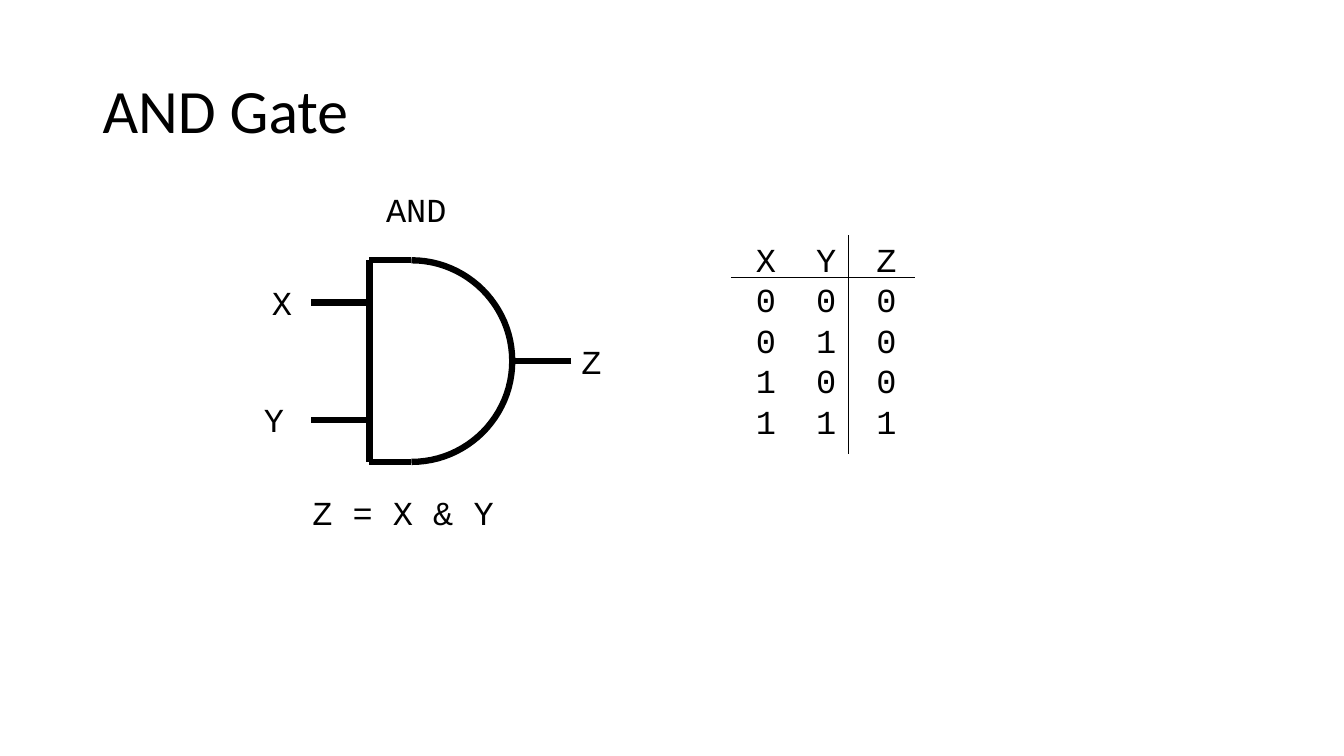
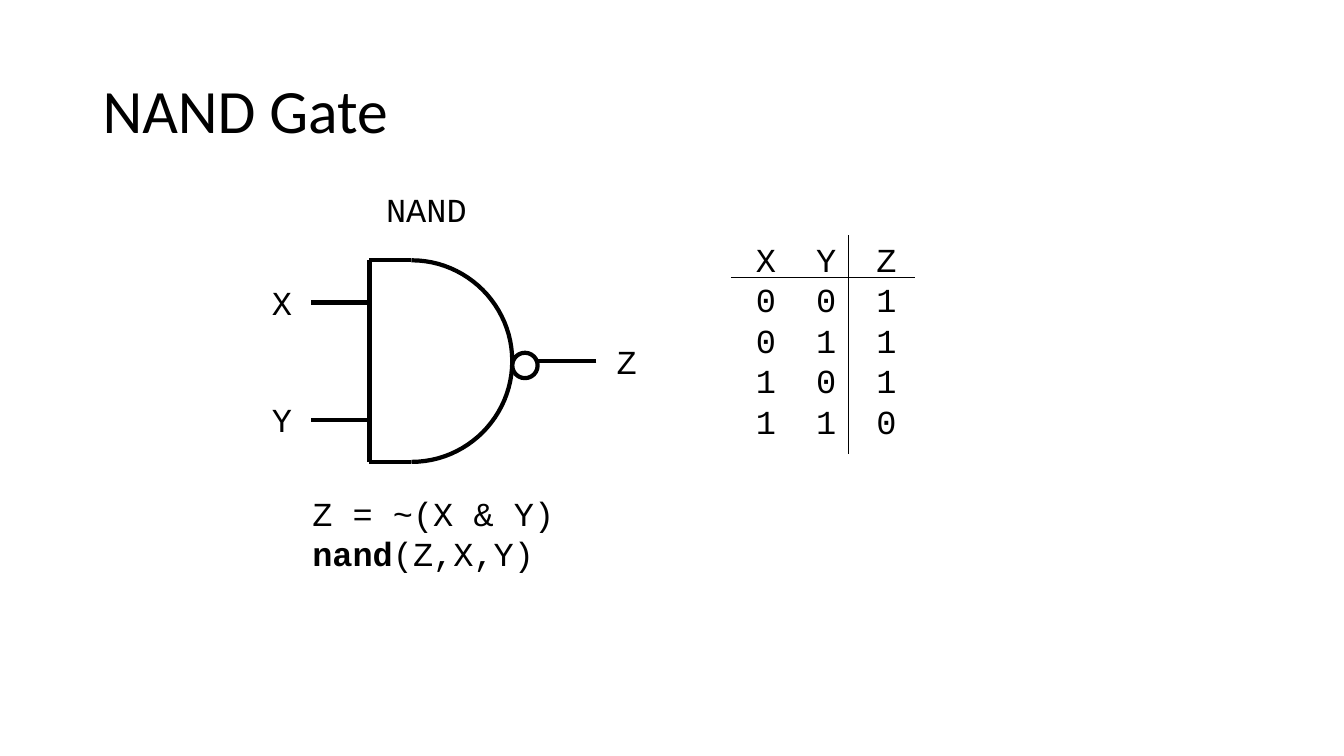
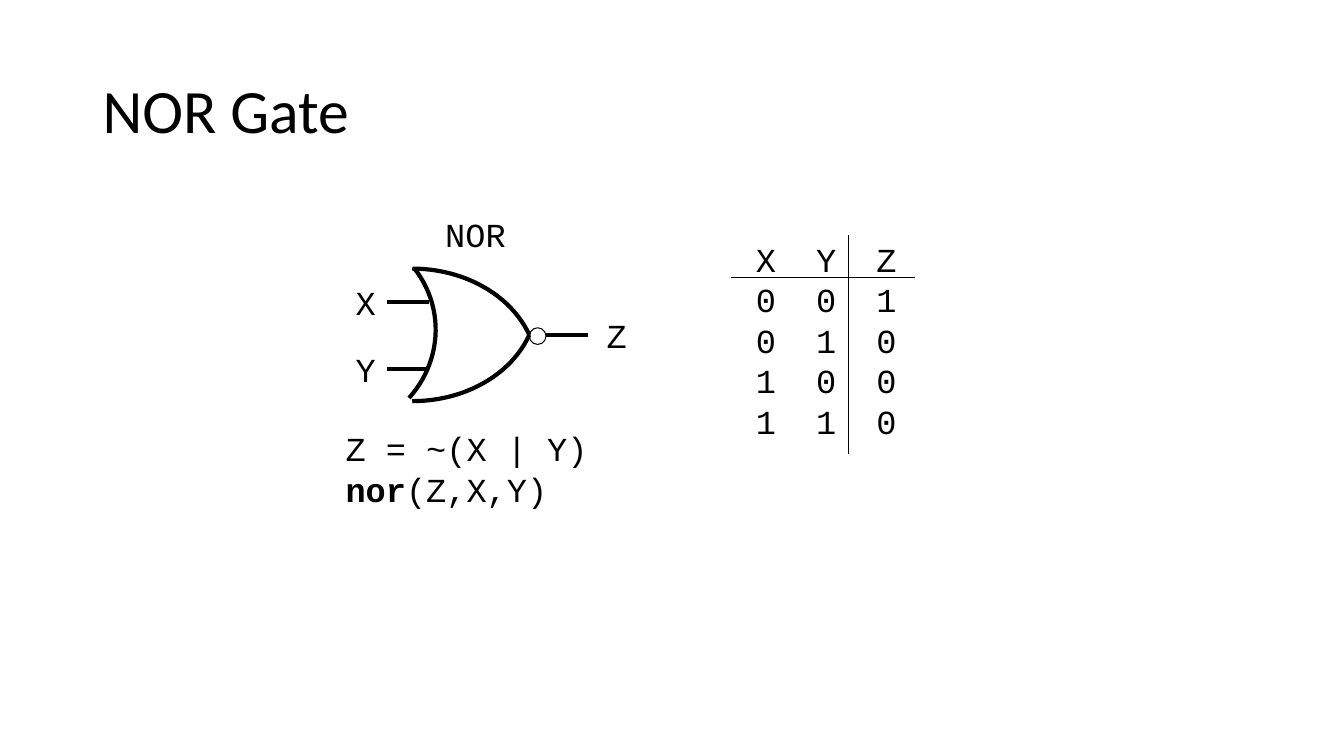
"""Build three slides on logic gates, each with a symbol, an equation and a truth table."""
from dataclasses import dataclass
from itertools import product
from typing import Any, NamedTuple

from lxml.etree import SubElement
from pptx import Presentation
from pptx.dml.color import RGBColor
from pptx.enum.shapes import MSO_CONNECTOR as Connector, MSO_SHAPE as Preset
from pptx.enum.text import MSO_ANCHOR as Anchor, MSO_AUTO_SIZE as AutoSize, PP_ALIGN as Align
from pptx.oxml.ns import qn
from pptx.util import Cm, Pt

COLORS = {"ink": "000000", "paper": "FFFFFF"}
INK = RGBColor.from_string(COLORS["ink"])
TITLE_FONT = {"name": "Calibri", "size": Pt(44), "bold": False}
CODE_FONT = {"name": "Courier New", "size": Pt(24), "bold": False}
TITLE_BOX = {"left": Cm(2.33), "top": Cm(1.01), "width": Cm(29.21), "height": Cm(3.68)}
TITLE_FRAME = {"vertical_anchor": Anchor.MIDDLE, "word_wrap": True, "auto_size": AutoSize.NONE}
TITLE_PARAGRAPH = {"alignment": Align.LEFT, "line_spacing": 0.9}
LABEL_FRAME = {"word_wrap": False, "auto_size": AutoSize.SHAPE_TO_FIT_TEXT}
CELL_FORMAT = {"margin_left": 0, "margin_right": 0, "margin_top": 0, "margin_bottom": 0,
               "vertical_anchor": Anchor.TOP}
PLAIN_TABLE_STYLE = "{2D5ABB26-0587-4C30-8999-92F81FD0307C}"
TABLE_LEFT, TABLE_TOP = 18.54, 6.16
COLUMN_WIDTH, ROW_HEIGHT = 1.52, 1.02
CHARACTER_WIDTH, LINE_HEIGHT = 0.51, 1.03
THIN = 0.75


class Point(NamedTuple):
    x: float
    y: float


class Wire(NamedTuple):
    start: Point
    end: Point


class Bubble(NamedTuple):
    left: float
    top: float
    size: float
    weight: float


class Label(NamedTuple):
    text: str
    left: float
    top: float


@dataclass
class Gate:
    name: str
    outputs: str
    weight: float
    curves: list[list[Point]]
    wires: list[Wire]
    labels: list[Label]
    equation: Label
    primitive: str = ""
    bubble: Bubble | None = None


def apply(target: Any, values: dict[str, Any]) -> None:
    for name, value in values.items():
        setattr(target, name, value)


def curve(*controls: tuple[float, float], steps: int = 24) -> list[Point]:
    points = []
    for step in range(steps + 1):
        t = step / steps
        weights = ((1 - t) ** 3, 3 * t * (1 - t) ** 2, 3 * t * t * (1 - t), t ** 3)
        points.append(Point(*(sum(w * c for w, c in zip(weights, axis)) for axis in zip(*controls))))
    return points


def add_run(paragraph: Any, text: str, font: dict[str, Any]) -> None:
    run = paragraph.add_run()
    run.text = text
    apply(run.font, font)
    run.font.color.rgb = INK


def add_title(slide: Any, text: str) -> None:
    title = slide.shapes.title
    apply(title, TITLE_BOX)
    apply(title.text_frame, TITLE_FRAME)
    paragraph = title.text_frame.paragraphs[0]
    apply(paragraph, TITLE_PARAGRAPH)
    add_run(paragraph, text, TITLE_FONT)


def add_label(slide: Any, label: Label, primitive: str = "") -> None:
    lines = 2 if primitive else 1
    box = slide.shapes.add_textbox(
        Cm(label.left), Cm(label.top),
        Cm(CHARACTER_WIDTH * (len(label.text) + 1)), Cm(0.25 + LINE_HEIGHT * lines))
    apply(box.text_frame, LABEL_FRAME)
    add_run(box.text_frame.paragraphs[0], label.text, CODE_FONT)
    if primitive:
        paragraph = box.text_frame.add_paragraph()
        add_run(paragraph, primitive, CODE_FONT | {"bold": True})
        add_run(paragraph, "(Z,X,Y)", CODE_FONT)


def style_outline(shape: Any, weight: float) -> None:
    shape.shadow.inherit = False
    shape.fill.background()
    shape.line.color.rgb = INK
    shape.line.width = Pt(weight)


def add_curve(slide: Any, points: list[Point], weight: float) -> None:
    first, *rest = [(Cm(point.x), Cm(point.y)) for point in points]
    builder = slide.shapes.build_freeform(*first)
    builder.add_line_segments(rest, close=False)
    style_outline(builder.convert_to_shape(), weight)


def add_bubble(slide: Any, bubble: Bubble) -> None:
    shape = slide.shapes.add_shape(
        Preset.OVAL, Cm(bubble.left), Cm(bubble.top), Cm(bubble.size), Cm(bubble.size))
    style_outline(shape, bubble.weight)


def add_wire(slide: Any, wire: Wire, weight: float) -> None:
    connector = slide.shapes.add_connector(
        Connector.STRAIGHT, *(Cm(value) for point in wire for value in point))
    connector.line.color.rgb = INK
    connector.line.width = Pt(weight)
    SubElement(connector._element.spPr, qn("a:effectLst"))


def add_truth_table(slide: Any, outputs: str) -> None:
    rows = [("X", "Y", "Z")] + [(*pair, out) for pair, out in zip(product("01", repeat=2), outputs)]
    frame = slide.shapes.add_table(
        len(rows), 3, Cm(TABLE_LEFT), Cm(TABLE_TOP),
        Cm(COLUMN_WIDTH * 3), Cm(ROW_HEIGHT * len(rows)))
    table = frame.table
    apply(table, {"first_row": False, "horz_banding": False})
    next(frame._element.iter(qn("a:tableStyleId"))).text = PLAIN_TABLE_STYLE
    for i, values in enumerate(rows):
        for j, value in enumerate(values):
            cell = table.cell(i, j)
            apply(cell, CELL_FORMAT)
            cell.fill.background()
            paragraph = cell.text_frame.paragraphs[0]
            paragraph.alignment = Align.CENTER
            add_run(paragraph, value, CODE_FONT)
    for rule in TABLE_RULES:
        add_wire(slide, rule, THIN)


def add_gate_slide(presentation: Any, gate: Gate) -> None:
    slide = presentation.slides.add_slide(presentation.slide_layouts[5])
    add_title(slide, f"{gate.name} Gate")
    for points in gate.curves:
        add_curve(slide, points, gate.weight)
    for wire in gate.wires:
        add_wire(slide, wire, gate.weight)
    if gate.bubble:
        add_bubble(slide, gate.bubble)
    for label in gate.labels:
        add_label(slide, label)
    add_label(slide, gate.equation, gate.primitive)
    add_truth_table(slide, gate.outputs)


def wires(left: float, body: float, inputs: tuple[float, float],
          start: float, end: float, output: float) -> list[Wire]:
    stems = [Wire(Point(body, y), Point(left, y)) for y in inputs]
    return stems + [Wire(Point(end, output), Point(start, output))]


TABLE_RULES = [Wire(Point(18.42, 6.99), Point(23.07, 6.99)),
               Wire(Point(21.38, 5.93), Point(21.38, 11.43))]
AND_CURVES = [curve((10.37, 6.56), (11.77, 6.56), (12.91, 7.7), (12.91, 9.1)),
              curve((10.37, 11.64), (11.77, 11.64), (12.91, 10.5), (12.91, 9.1))]
AND_EDGES = [Wire(Point(10.37, 6.56), Point(9.31, 6.56)),
             Wire(Point(10.37, 11.64), Point(9.31, 11.64)),
             Wire(Point(9.31, 6.56), Point(9.31, 11.64))]
NOR_CURVES = [curve((10.39, 6.77), (11.71, 6.77), (12.88, 7.44), (13.34, 8.44)),
              curve((10.39, 10.11), (11.71, 10.11), (12.88, 9.45), (13.34, 8.44)),
              curve((10.44, 6.76), (11.18, 7.7), (11.15, 8.99), (10.41, 9.91))
              + [Point(10.31, 10.03)]]

GATES = [
    Gate("AND", "0001", 4.5, AND_CURVES,
         AND_EDGES + wires(7.83, 9.31, (7.62, 10.58), 12.91, 14.4, 9.1),
         [Label("AND", 9.48, 4.64), Label("X", 6.6, 6.98),
          Label("Y", 6.4, 9.92), Label("Z", 14.4, 8.46)],
         Label("Z = X & Y", 7.62, 12.27)),
    Gate("NAND", "1110", 3, AND_CURVES,
         AND_EDGES + wires(7.83, 9.31, (7.62, 10.58), 13.55, 15.03, 9.1),
         [Label("NAND", 9.48, 4.64), Label("X", 6.6, 6.98),
          Label("Y", 6.6, 9.92), Label("Z", 15.29, 8.46)],
         Label("Z = ~(X & Y)", 7.62, 12.29), "nand", Bubble(12.91, 8.89, 0.64, 3)),
    Gate("NOR", "1000", 3, NOR_CURVES,
         wires(9.75, 10.82, (7.6, 9.3), 13.76, 14.81, 8.44),
         [Label("NOR", 10.97, 5.26), Label("X", 8.71, 6.98),
          Label("Y", 8.71, 8.67), Label("Z", 15.04, 7.82)],
         Label("Z = ~(X | Y)", 8.46, 10.67), "nor", Bubble(13.34, 8.26, 0.42, THIN)),
]


def main() -> None:
    presentation = Presentation()
    apply(presentation, {"slide_width": Cm(33.87), "slide_height": Cm(19.05)})
    background = presentation.slide_master.background.fill
    background.solid()
    background.fore_color.rgb = RGBColor.from_string(COLORS["paper"])
    for gate in GATES:
        add_gate_slide(presentation, gate)
    presentation.save("out.pptx")


if __name__ == "__main__":
    main()
